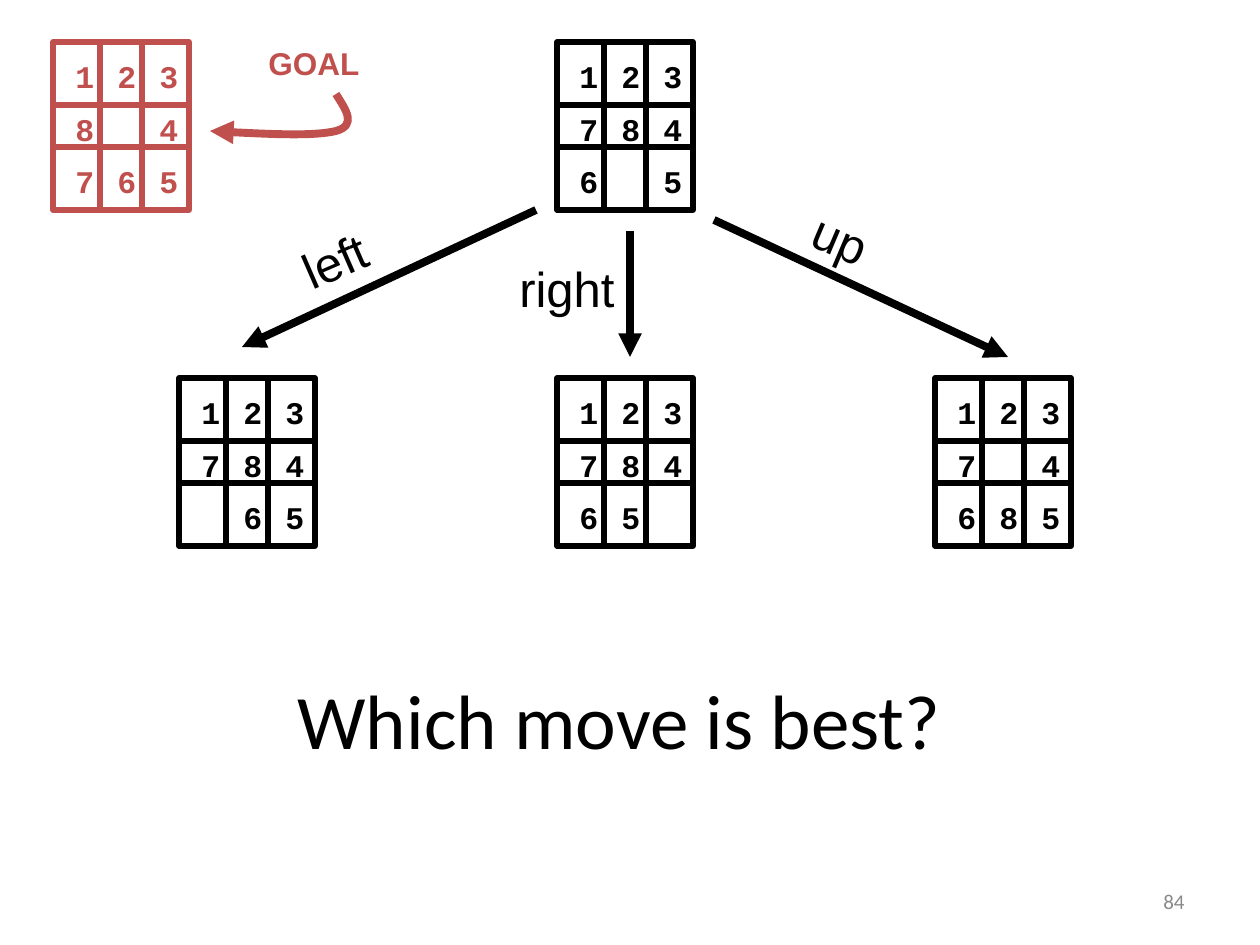
from lxml import etree
from pptx import Presentation
from pptx import util as u
from pptx.dml.color import RGBColor
from pptx.enum import shapes, text
from pptx.oxml.ns import qn

SCALE = u.Inches(1) / 126
BLACK, RED, GREY, WHITE = "000000", "C0504D", "898989", "FFFFFF"

BOARDS = [
    (557, 42, BLACK, ("123", "784", "6 5")),
    (179, 378, BLACK, ("123", "784", " 65")),
    (557, 378, BLACK, ("123", "784", "65 ")),
    (935, 378, BLACK, ("123", "7 4", "685")),
    (53, 42, RED, ("123", "8 4", "765")),
]
BOARD_WIDTH, BOARD_HEIGHT = 136, 168
COLUMN_LINES, ROW_LINES = (47, 89), (63, 105)
DIGIT_LEFTS, DIGIT_TOPS = (10, 52, 94), (10, 63, 115)

MOVES = [
    ("left", (289, 222, 100, 72), -23.5, (536, 210, 242, 347)),
    ("right", (507, 252, 136, 72), 0, (630, 231, 630, 357)),
    ("up", (801, 204, 86, 72), 23.1, (714, 220, 1008, 357)),
]
GOAL_CURVE = [(336, 94), (346, 110), (357, 125), (336, 131),
              (315, 136), (262, 134), (210, 131)]


def px(*lengths):
    """Turn px lengths into a list of EMU."""
    return [u.Emu(round(length * SCALE)) for length in lengths]


def color(value):
    """Turn a hex string into a colour."""
    return RGBColor.from_string(value)


def add_text(parent, content, box, font="Arial", size=28, fill=BLACK, bold=False,
             align="LEFT", anchor="TOP", wrap=False, rotation=0):
    """Add a one-paragraph text box."""
    shape = parent.add_textbox(*px(*box))
    shape.rotation = rotation
    frame = shape.text_frame
    frame.word_wrap = wrap
    frame.vertical_anchor = getattr(text.MSO_ANCHOR, anchor)
    paragraph = frame.paragraphs[0]
    paragraph.text = content
    paragraph.alignment = getattr(text.PP_ALIGN, align)
    paragraph.font.name = font
    paragraph.font.size = u.Pt(size)
    paragraph.font.bold = bold
    paragraph.font.color.rgb = color(fill)


def style_line(shape, stroke, width, arrow=False):
    """Set the line of a shape, with an optional arrowhead at its end."""
    shape.line.color.rgb = color(stroke)
    shape.line.width = u.Pt(width)
    if arrow:
        etree.SubElement(shape.line._get_or_add_ln(), qn("a:tailEnd"), type="triangle")


def add_line(parent, points, width, stroke=BLACK, arrow=False):
    """Add a straight line without a shadow."""
    connector = parent.add_connector(shapes.MSO_CONNECTOR.STRAIGHT, *px(*points))
    style_line(connector, stroke, width, arrow)
    etree.SubElement(connector._element.spPr, qn("a:effectLst"))


def add_board(slide, left, top, stroke, rows):
    """Add one puzzle board as a group."""
    parent = slide.shapes.add_group_shape().shapes
    frame = parent.add_shape(shapes.MSO_SHAPE.RECTANGLE,
                             *px(left, top, BOARD_WIDTH, BOARD_HEIGHT))
    frame.shadow.inherit = False
    frame.fill.solid()
    frame.fill.fore_color.rgb = color(WHITE)
    style_line(frame, stroke, 3)
    for y in ROW_LINES:
        add_line(parent, (left, top + y, left + BOARD_WIDTH, top + y), 3, stroke)
    for x in COLUMN_LINES:
        add_line(parent, (left + x, top + BOARD_HEIGHT, left + x, top), 3, stroke)
    for row, y in zip(rows, DIGIT_TOPS):
        for digit, x in zip(row, DIGIT_LEFTS):
            if digit != " ":
                add_text(parent, digit, (left + x, top + y, 38, 47), font="Courier New",
                         size=18, fill=stroke, bold=True, align="CENTER", anchor="MIDDLE")


def add_curve(slide, points, stroke, width):
    """Add an open curve with an arrowhead from Bezier points."""
    builder = slide.shapes.build_freeform(*points[0], scale=SCALE)
    builder.add_line_segments(points[1:], close=False)
    shape = builder.convert_to_shape()
    shape.shadow.inherit = False
    shape.fill.background()
    style_line(shape, stroke, width, arrow=True)
    segments = list(shape._element.iter(qn("a:lnTo")))
    outline = segments[0].getparent()
    for start in range(0, len(segments), 3):
        curve = etree.SubElement(outline, qn("a:cubicBezTo"))
        for segment in segments[start:start + 3]:
            curve.append(segment[0])
            outline.remove(segment)


def main():
    """Build the slide and save it."""
    presentation = Presentation()
    presentation.slide_width, presentation.slide_height = px(1260, 945)
    slide = presentation.slides.add_slide(presentation.slide_layouts[6])
    for board in BOARDS:
        add_board(slide, *board)
    for label, box, rotation, points in MOVES:
        add_line(slide.shapes, points, 4.5, arrow=True)
        add_text(slide.shapes, label, box, rotation=rotation)
    add_text(slide.shapes, "GOAL", (256, 38, 116, 50), size=18, fill=RED, bold=True)
    add_curve(slide, GOAL_CURVE, RED, 4.5)
    add_text(slide.shapes, "Which move is best?", (84, 640, 1071, 158), font="Calibri",
             size=44, align="CENTER", anchor="MIDDLE", wrap=True)
    add_text(slide.shapes, "84", (903, 876, 294, 50), font="Calibri", size=12, fill=GREY,
             align="RIGHT", anchor="MIDDLE", wrap=True)
    presentation.save("out.pptx")


if __name__ == "__main__":
    main()
